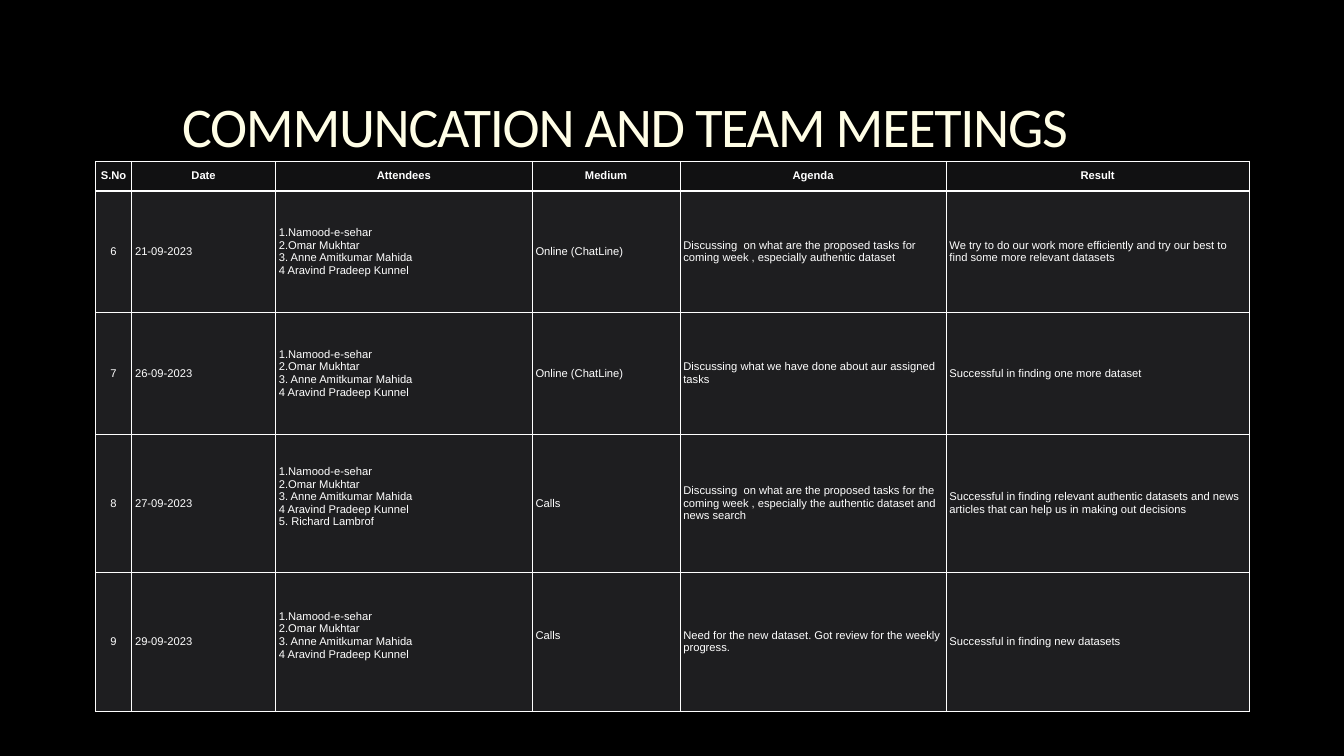
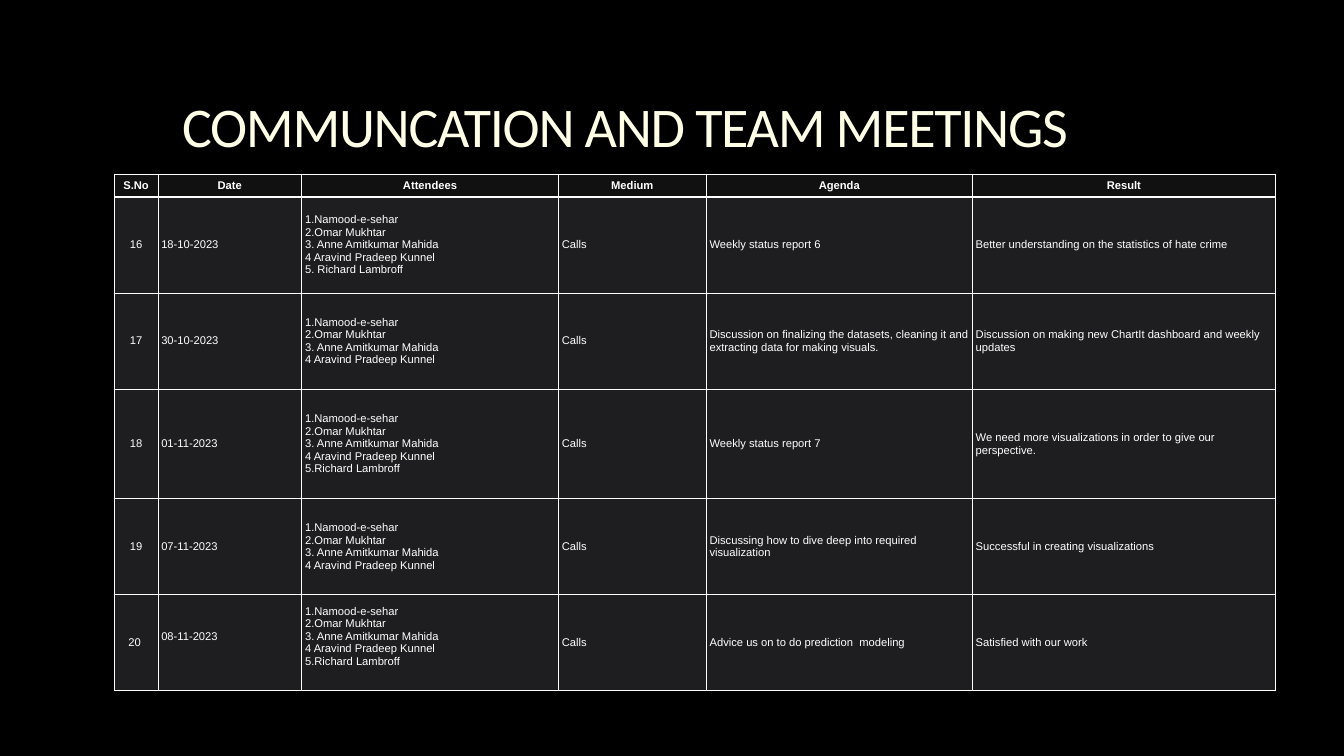
from lxml import etree
from pptx import Presentation
from pptx.dml.color import RGBColor
from pptx.enum import text
from pptx.oxml import ns
from pptx.util import Inches, Pt

TITLE = "COMMUNCATION AND TEAM MEETINGS"
HEADINGS = ["S.No", "Date", "Attendees", "Medium", "Agenda", "Result"]
ATTENDEES = HEADINGS.index("Attendees")
TEAM = ["1.Namood-e-sehar", "2.Omar Mukhtar", "3. Anne Amitkumar Mahida",
        "4 Aravind Pradeep Kunnel"]
CHAT, CALLS = "Online (ChatLine)", "Calls"

# meeting: number, date, guests beside the team, medium, agenda, result
SEPTEMBER = [
    ("6", "21-09-2023", [], CHAT,
     "Discussing  on what are the proposed tasks for coming week , especially authentic dataset",
     "We try to do our work more efficiently and try our best to find some more relevant datasets"),
    ("7", "26-09-2023", [], CHAT,
     "Discussing what we have done about aur assigned tasks",
     "Successful in finding one more dataset"),
    ("8", "27-09-2023", ["5. Richard Lambrof"], CALLS,
     "Discussing  on what are the proposed tasks for the coming week , "
     "especially the authentic dataset and news search",
     "Successful in finding relevant authentic datasets and news articles "
     "that can help us in making out decisions"),
    ("9", "29-09-2023", [], CALLS,
     "Need for the new dataset. Got review for the weekly progress.",
     "Successful in finding new datasets"),
]
AUTUMN = [
    ("16", "18-10-2023", ["5. Richard Lambroff"], CALLS, "Weekly status report 6",
     "Better understanding on the statistics of hate crime"),
    ("17", "30-10-2023", [], CALLS,
     "Discussion on finalizing the datasets, cleaning it and extracting data for making visuals.",
     "Discussion on making new ChartIt dashboard and weekly updates"),
    ("18", "01-11-2023", ["5.Richard Lambroff"], CALLS, "Weekly status report 7",
     "We need more visualizations in order to give our perspective."),
    ("19", "07-11-2023", [], CALLS,
     "Discussing how to dive deep into required visualization",
     "Successful in creating visualizations"),
    ("20 ", "08-11-2023", ["5.Richard Lambroff"], CALLS,
     "Advice us on to do prediction  modeling", "Satisfied with our work"),
]

# "raised" lists the (row, column) cells whose text sits half a line higher
SLIDES = [
    dict(meetings=SEPTEMBER, left=1.42, top=2.4, number_width=0.54,
         heights=[0.44, 1.81, 1.81, 2.06, 2.06], raised={(3, 2), (4, 2), (4, 3)}),
    dict(meetings=AUTUMN, left=1.7, top=2.59, number_width=0.65,
         heights=[0.34, 1.43, 1.43, 1.63, 1.43, 1.43], raised={(5, 1), (5, 2)}),
]
OTHER_WIDTHS = [2.14, 3.82, 2.2, 3.96, 4.51]

BACKGROUND, TITLE_COLOR, WHITE = "000000", "FFFEE6", "FFFFFF"
HEADER_FILL, BODY_FILL = "111112", "1E1E20"
THIN, THICK = 1, 3
LINE_HEIGHT = 0.19


def rgb(value):
    return RGBColor.from_string(value)


def add_run(paragraph, words, font_name, size, color, bold=False):
    run = paragraph.add_run()
    run.text = words
    run.font.name = font_name
    run.font.size = Pt(size)
    run.font.bold = bold
    run.font.color.rgb = rgb(color)
    return run


def add_title(slide):
    box = slide.shapes.add_textbox(Inches(2.71), Inches(0.36), Inches(14.59), Inches(1.73))
    frame = box.text_frame
    frame.word_wrap = True
    frame.auto_size = text.MSO_AUTO_SIZE.SHAPE_TO_FIT_TEXT
    frame.margin_left = frame.margin_top = frame.margin_right = frame.margin_bottom = 0
    paragraph = frame.paragraphs[0]
    paragraph.line_spacing = Pt(144)
    run = add_run(paragraph, TITLE, "Calibri", 60, TITLE_COLOR)
    run.font._element.set("spc", "-140")


def set_borders(cell, top, bottom):
    properties = cell._tc.get_or_add_tcPr()
    for side, width in (("L", THIN), ("R", THIN), ("T", top), ("B", bottom)):
        line = etree.SubElement(properties, ns.qn(f"a:ln{side}"), w=str(Pt(width)))
        fill = etree.SubElement(line, ns.qn("a:solidFill"))
        etree.SubElement(fill, ns.qn("a:srgbClr"), val=WHITE)


def fill_cell(cell, lines, row, column, raised):
    header = row == 0
    set_borders(cell, THICK if row == 1 else THIN, THICK if header else THIN)
    cell.fill.solid()
    cell.fill.fore_color.rgb = rgb(HEADER_FILL if header else BODY_FILL)
    cell.vertical_anchor = text.MSO_ANCHOR.MIDDLE
    cell.margin_left = cell.margin_right = Inches(0 if header else 0.05)
    cell.margin_top = cell.margin_bottom = Inches(0 if header else 0.02)
    if raised:
        cell.margin_bottom = Inches(0.02 + LINE_HEIGHT)
    frame = cell.text_frame
    for index, words in enumerate(lines):
        paragraph = frame.add_paragraph() if index else frame.paragraphs[0]
        centred = header or column == 0
        paragraph.alignment = text.PP_ALIGN.CENTER if centred else text.PP_ALIGN.LEFT
        add_run(paragraph, words, "Arial", 12, WHITE, bold=header)


def add_meetings(slide, meetings, left, top, number_width, heights, raised):
    widths = [number_width] + OTHER_WIDTHS
    table = slide.shapes.add_table(len(heights), len(widths), Inches(left), Inches(top),
                                   Inches(sum(widths)), Inches(sum(heights))).table
    table.horz_banding = False
    for column, width in zip(table.columns, widths):
        column.width = Inches(width)
    for table_row, height in zip(table.rows, heights):
        table_row.height = Inches(height)
    for row, entries in enumerate([HEADINGS] + meetings):
        for column, entry in enumerate(entries):
            lines = TEAM + entry if row and column == ATTENDEES else [entry]
            fill_cell(table.cell(row, column), lines, row, column, (row, column) in raised)


def main():
    deck = Presentation()
    deck.slide_width, deck.slide_height = Inches(20), Inches(11.25)
    for content in SLIDES:
        slide = deck.slides.add_slide(deck.slide_layouts[6])
        slide.background.fill.solid()
        slide.background.fill.fore_color.rgb = rgb(BACKGROUND)
        add_title(slide)
        add_meetings(slide, **content)
    deck.save("out.pptx")


if __name__ == "__main__":
    main()
